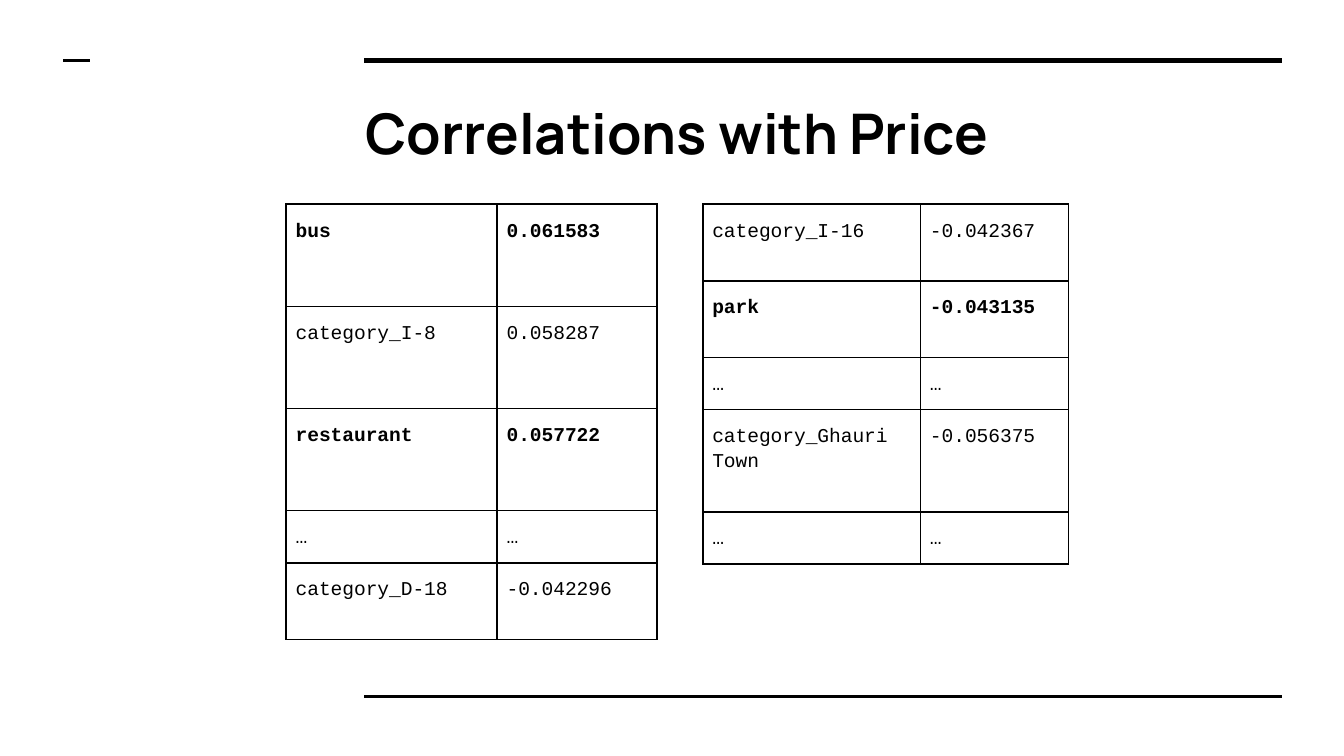
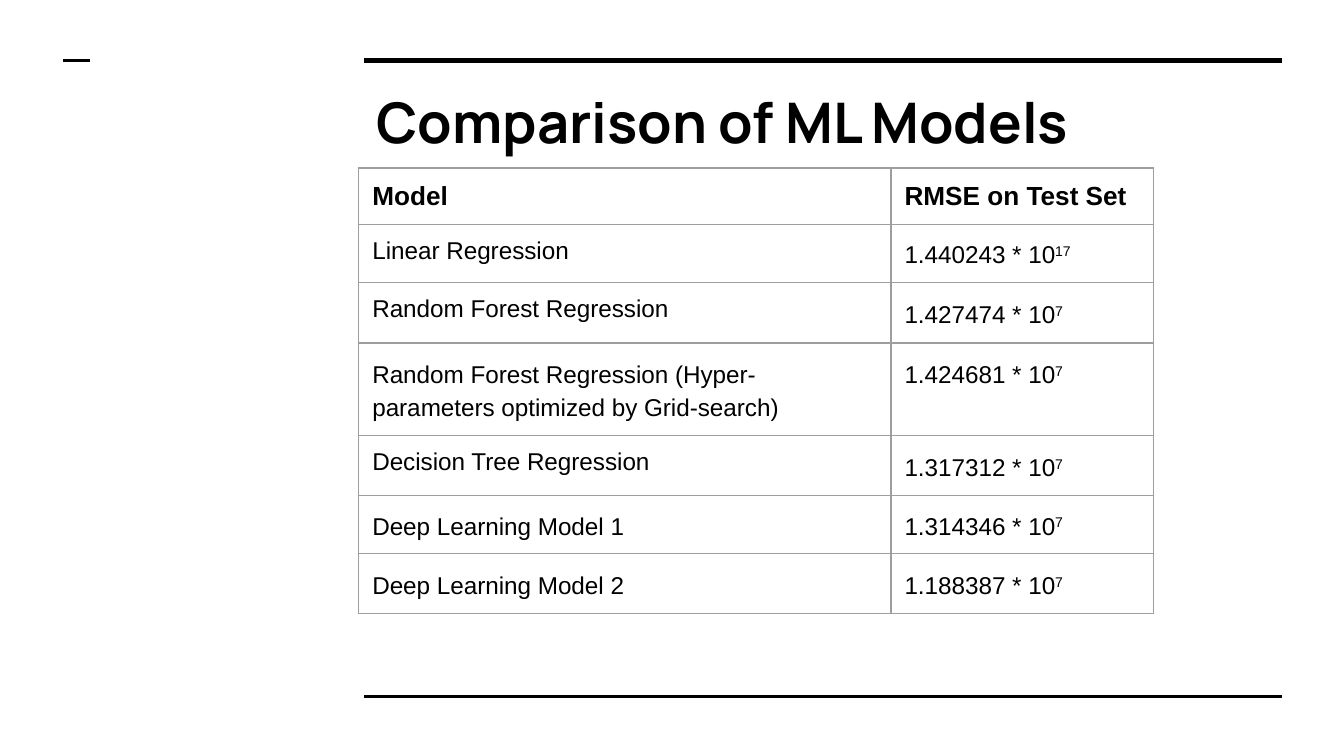
from dataclasses import dataclass
from typing import Optional

from lxml.etree import SubElement
from pptx import Presentation
from pptx.dml.color import RGBColor
from pptx.enum.shapes import MSO_CONNECTOR
from pptx.enum.text import MSO_ANCHOR, MSO_AUTO_SIZE, PP_ALIGN
from pptx.oxml.ns import qn
from pptx.util import Inches, Pt


@dataclass(frozen=True)
class Theme:
    ink: str = "000000"
    paper: str = "FFFFFF"
    gray: str = "9E9E9E"
    head: str = "Manrope"
    body: str = "Arial"
    code: str = "Courier New"
    title: float = 30
    label: float = 14
    text: float = 13
    small: float = 10.5


@dataclass(frozen=True)
class Rule:
    left: float
    right: float
    top: float
    weight: float


@dataclass(frozen=True)
class Cell:
    text: str
    power: str = ""
    size: float = 13
    bold: bool = False
    lead: Optional[float] = None
    before: float = 0
    after: float = 0


@dataclass(frozen=True)
class Row:
    height: float
    cells: tuple[Cell, Cell]


@dataclass(frozen=True)
class Grid:
    left: float
    top: float
    widths: tuple[float, float]
    rows: list[Row]
    font: str
    line: str
    weight: float
    side: float


THEME = Theme()
RULES = (
    Rule(2.71, 9.54, 0.45, 3),
    Rule(2.71, 9.54, 5.18, 1.5),
    Rule(0.47, 0.67, 0.45, 1.5),
)


def apply(target, values: dict) -> None:
    for name, value in values.items():
        setattr(target, name, value)


def style(font, face: str, size: float, bold: bool) -> None:
    apply(font, {"name": face, "size": Pt(size), "bold": bold})
    font.color.rgb = RGBColor.from_string(THEME.ink)


def draw_rule(slide, rule: Rule) -> None:
    line = slide.shapes.add_connector(
        MSO_CONNECTOR.STRAIGHT, Inches(rule.left), Inches(rule.top),
        Inches(rule.right), Inches(rule.top))
    line.line.width = Pt(rule.weight)
    line.line.color.rgb = RGBColor.from_string(THEME.ink)
    SubElement(line.element.spPr, qn("a:effectLst"))


def add_page(deck, title: str, left: float, top: float, width: float):
    slide = deck.slides.add_slide(deck.slide_layouts[5])
    fill = slide.background.fill
    fill.solid()
    fill.fore_color.rgb = RGBColor.from_string(THEME.paper)
    for rule in RULES:
        draw_rule(slide, rule)
    box = slide.shapes.title
    apply(box, {"left": Inches(left), "top": Inches(top),
                "width": Inches(width), "height": Inches(0.69)})
    frame = box.text_frame
    pad = Inches(0.1)
    apply(frame, {"text": title, "word_wrap": True,
                  "auto_size": MSO_AUTO_SIZE.NONE,
                  "vertical_anchor": MSO_ANCHOR.TOP,
                  "margin_left": pad, "margin_right": pad,
                  "margin_top": pad, "margin_bottom": pad})
    para = frame.paragraphs[0]
    apply(para, {"alignment": PP_ALIGN.LEFT, "line_spacing": 1.0,
                 "space_before": Pt(0)})
    style(para.runs[0].font, THEME.head, THEME.title, True)
    return slide


def add_edges(cell, color: str, weight: float) -> None:
    props = cell._tc.get_or_add_tcPr()
    for side in "LRTB":
        edge = SubElement(props, qn(f"a:ln{side}"), w=str(Pt(weight)))
        fill = SubElement(edge, qn("a:solidFill"))
        SubElement(fill, qn("a:srgbClr"), val=color)


def fill_cell(cell, data: Cell, grid: Grid) -> None:
    add_edges(cell, grid.line, grid.weight)
    cell.fill.background()
    apply(cell, {"margin_left": Inches(grid.side),
                 "margin_right": Inches(grid.side),
                 "margin_top": Inches(0.1), "margin_bottom": Inches(0.1),
                 "vertical_anchor": MSO_ANCHOR.TOP})
    para = cell.text_frame.paragraphs[0]
    apply(para, {"line_spacing": data.lead, "space_before": Pt(data.before),
                 "space_after": Pt(data.after)})
    for text, base in ((data.text, 0), (data.power, 30000)):
        if text:
            run = para.add_run()
            run.text = text
            style(run.font, grid.font, data.size, data.bold)
            if base:
                run.font._element.set("baseline", str(base))


def draw_grid(slide, grid: Grid) -> None:
    height = sum(row.height for row in grid.rows)
    table = slide.shapes.add_table(
        len(grid.rows), len(grid.widths), Inches(grid.left), Inches(grid.top),
        Inches(sum(grid.widths)), Inches(height)).table
    apply(table, {"first_row": False, "horz_banding": False})
    for column, width in zip(table.columns, grid.widths):
        column.width = Inches(width)
    for line, row in zip(table.rows, grid.rows):
        line.height = Inches(row.height)
        for cell, data in zip(line.cells, row.cells):
            fill_cell(cell, data, grid)


def price_row(name: str, value: str, lines: int, bold: bool = False) -> Row:
    first, second = (
        Cell(text, size=THEME.small, bold=bold, lead=1.15, before=12)
        for text in (name, value))
    return Row(0.19 + 0.19 * lines, (first, second))


def price_grid(left: float, widths: tuple[float, float],
               rows: list[Row]) -> Grid:
    return Grid(left, 1.52, widths, rows, THEME.code, THEME.ink, 1, 0.07)


def model_row(name: str, value: str, power: str, height: float,
              leads: tuple[Optional[float], float],
              before: float = 0, after: float = 0) -> Row:
    return Row(height, (
        Cell(name, size=THEME.text, lead=leads[0]),
        Cell(f"{value} * 10", power, THEME.text, lead=leads[1],
             before=before, after=after)))


def main() -> None:
    deck = Presentation()
    apply(deck, {"slide_width": Inches(10), "slide_height": Inches(5.625)})

    page = add_page(deck, "Correlations with Price", 2.62, 0.63, 6.91)
    draw_grid(page, price_grid(2.13, (1.57, 1.19), [
        price_row("bus", "0.061583", 3, True),
        price_row("category_I-8", "0.058287", 3),
        price_row("restaurant", "0.057722", 3, True),
        price_row("…", "…", 1),
        price_row("category_D-18", "-0.042296", 2),
    ]))
    draw_grid(page, price_grid(5.23, (1.62, 1.1), [
        price_row("category_I-16", "-0.042367", 2),
        price_row("park", "-0.043135", 2, True),
        price_row("…", "…", 1),
        price_row("category_Ghauri Town", "-0.056375", 3),
        price_row("…", "…", 1),
    ]))

    page = add_page(deck, "Comparison of ML Models", 2.7, 0.55, 6.84)
    heads = (Cell("Model", size=THEME.label, bold=True),
             Cell("RMSE on Test Set", size=THEME.label, bold=True))
    draw_grid(page, Grid(2.67, 1.25, (3.96, 1.95), [
        Row(0.42, heads),
        model_row("Linear Regression", "1.440243", "17", 0.43,
                  (None, 1.15), 11, 7),
        model_row("Random Forest Regression", "1.427474", "7", 0.45,
                  (None, 1.21)),
        model_row("Random Forest Regression (Hyper-parameters optimized "
                  "by Grid-search)", "1.424681", "7", 0.68, (1.21, 1.21)),
        model_row("Decision Tree Regression", "1.317312", "7", 0.45,
                  (None, 1.21)),
        model_row("Deep Learning Model 1", "1.314346", "7", 0.43,
                  (1.15, 1.15)),
        model_row("Deep Learning Model 2", "1.188387", "7", 0.44,
                  (1.21, 1.21)),
    ], THEME.body, THEME.gray, 0.75, 0.1))

    deck.save("out.pptx")


main()
